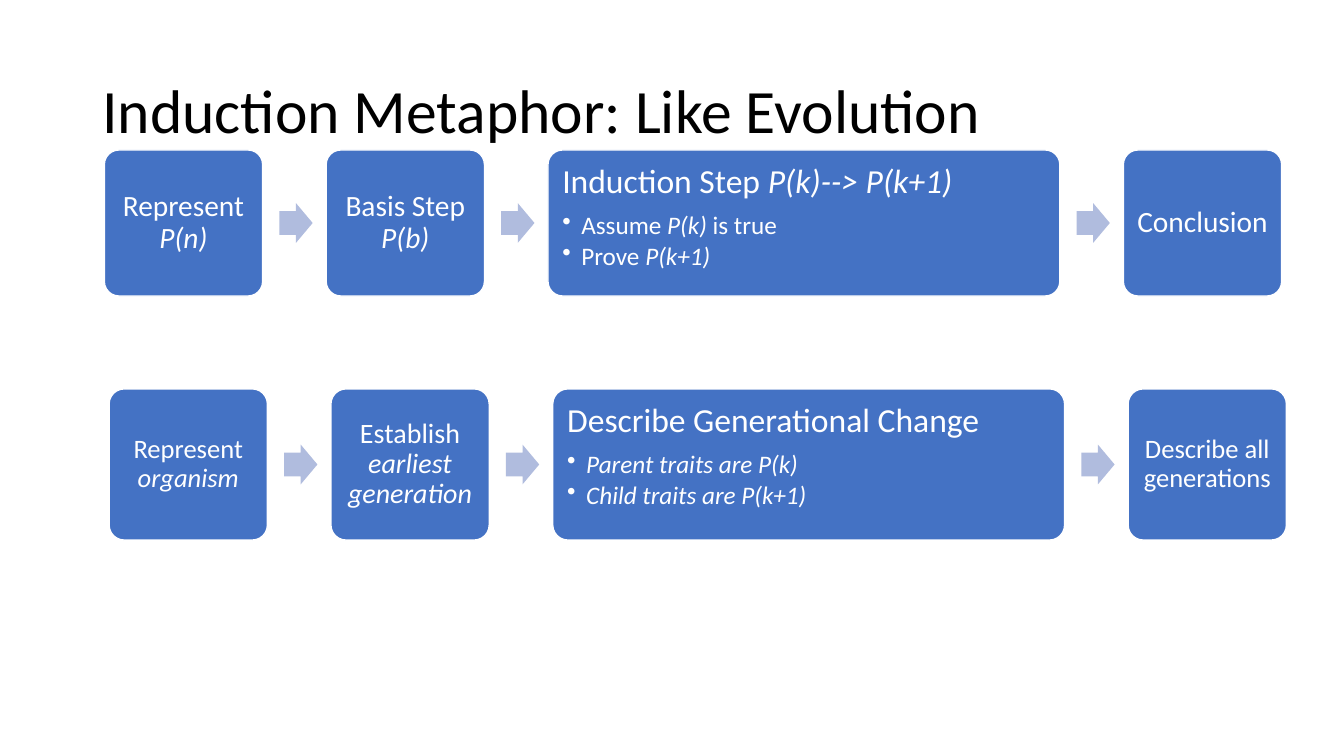
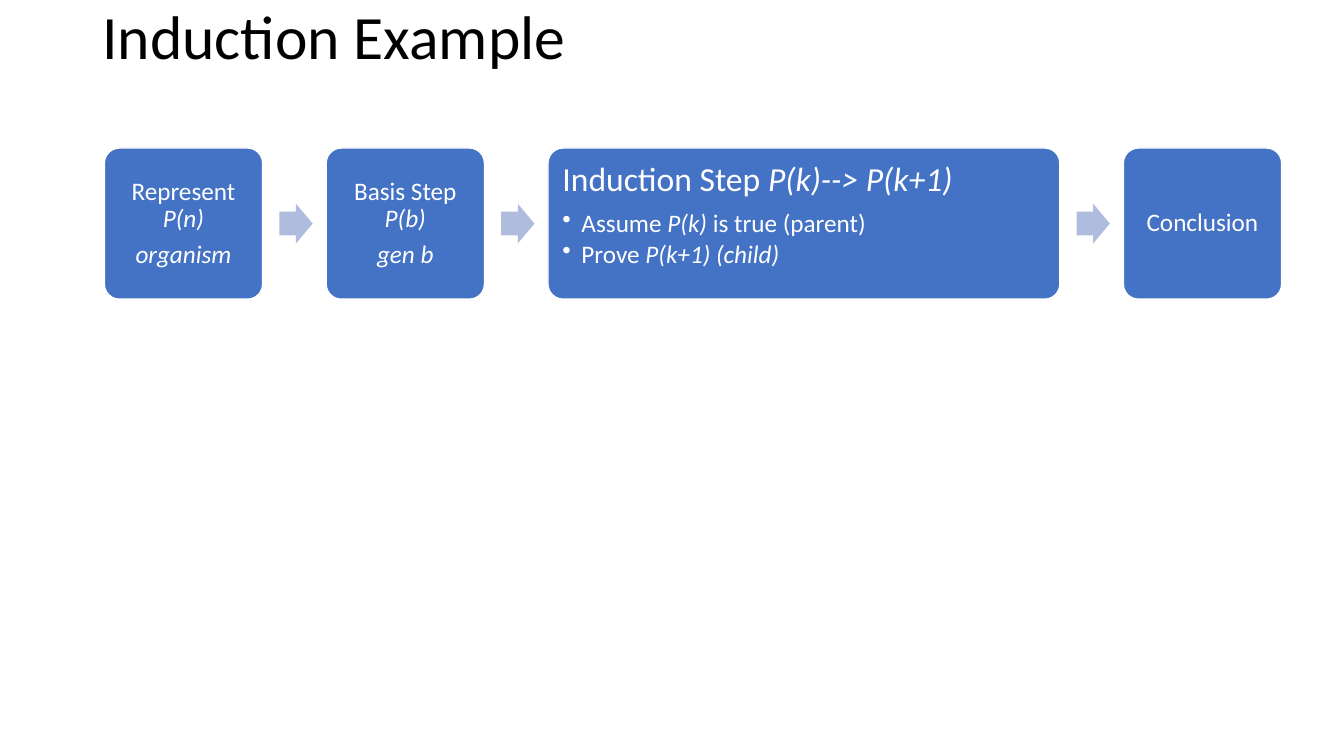
import lxml.etree
import pptx
import pptx.dml.color
import pptx.enum.shapes
import pptx.enum.text
import pptx.oxml.ns
import pptx.util

Cm = pptx.util.Cm
Pt = pptx.util.Pt
RGBColor = pptx.dml.color.RGBColor
Shape = pptx.enum.shapes.MSO_SHAPE
Anchor = pptx.enum.text.MSO_ANCHOR
Align = pptx.enum.text.PP_ALIGN

BLACK = RGBColor(0x00, 0x00, 0x00)
WHITE = RGBColor(0xFF, 0xFF, 0xFF)
STEP_BLUE = RGBColor(0x44, 0x72, 0xC4)
ARROW_BLUE = RGBColor(0xB0, 0xBC, 0xDE)

FONT = "Calibri"
TITLE_SIZE, HEADING_SIZE, BULLET_SIZE = 44, 24, 18

# Lengths in centimetres
STEP_WIDTH, DETAIL_WIDTH, STEP_GAP = 3.99, 12.9, 1.6
ARROW_OFFSET, ARROW_WIDTH, ARROW_HEIGHT = 0.42, 0.84, 1
BULLET_INDENT = Cm(0.48)


class Deck:
    """Holds the style and the slide being filled."""

    def __init__(self):
        self.presentation = pptx.Presentation()
        self.presentation.slide_width = Cm(33.87)
        self.presentation.slide_height = Cm(19.05)
        self.slide = None

    def new_slide(self, title, title_top):
        self.slide = self.presentation.slides.add_slide(self.presentation.slide_layouts[6])
        box = self.slide.shapes.add_textbox(Cm(2.33), Cm(title_top), Cm(29.21), Cm(2))
        frame = box.text_frame
        frame.word_wrap = True
        frame.vertical_anchor = Anchor.MIDDLE
        self.add_text(frame.paragraphs[0], title, TITLE_SIZE, BLACK)

    def add_text(self, paragraph, text, size, color=WHITE, space_after=0):
        """Add text whose parts between asterisks are italic."""
        for index, part in enumerate(text.split("*")):
            if part:
                run = paragraph.add_run()
                run.text = part
                run.font.name = FONT
                run.font.size = Pt(size)
                run.font.color.rgb = color
                run.font.italic = index % 2 == 1
        paragraph.line_spacing = 0.9
        paragraph.space_after = Pt(size * space_after)

    def shape(self, kind, left, top, width, height, fill, adjustments):
        shape = self.slide.shapes.add_shape(kind, Cm(left), Cm(top), Cm(width), Cm(height))
        for index, value in enumerate(adjustments):
            shape.adjustments[index] = value
        shape.shadow.inherit = False
        shape.fill.solid()
        shape.fill.fore_color.rgb = fill
        shape.line.fill.background()
        return shape

    def box(self, left, top, width, height, size, anchor):
        """Draw a step box and return its text frame, with insets that follow the text size."""
        box = self.shape(Shape.ROUNDED_RECTANGLE, left, top, width, height, STEP_BLUE, [0.1])
        box.line.color.rgb = WHITE
        box.line.width = Pt(1)
        frame = box.text_frame
        frame.word_wrap = True
        frame.vertical_anchor = anchor
        inset = Pt(size * 0.3)
        frame.margin_left = frame.margin_right = inset
        frame.margin_top = frame.margin_bottom = inset
        return frame

    def step(self, left, top, height, size, lines):
        frame = self.box(left, top, STEP_WIDTH, height, size, Anchor.MIDDLE)
        for index, line in enumerate(lines):
            paragraph = frame.add_paragraph() if index else frame.paragraphs[0]
            paragraph.alignment = Align.CENTER
            self.add_text(paragraph, line, size, space_after=0.35)

    def detail(self, left, top, height, heading, bullets):
        frame = self.box(left, top, DETAIL_WIDTH, height, HEADING_SIZE, Anchor.TOP)
        frame.paragraphs[0].alignment = Align.LEFT
        self.add_text(frame.paragraphs[0], heading, HEADING_SIZE, space_after=0.35)
        for bullet in bullets:
            paragraph = frame.add_paragraph()
            paragraph.alignment = Align.LEFT
            paragraph.level = 1
            self.add_text(paragraph, bullet, BULLET_SIZE, space_after=0.15)
            properties = paragraph._p.get_or_add_pPr()
            properties.set("marL", str(BULLET_INDENT))
            properties.set("indent", str(-BULLET_INDENT))
            mark = lxml.etree.SubElement(properties, pptx.oxml.ns.qn("a:buChar"))
            mark.set("char", "•")

    def process(self, left, top, height, first, second, detail, last):
        """Lay out a row of steps joined by arrows; a step is a size and its lines."""
        arrow_top = top + (height - ARROW_HEIGHT) / 2
        for content in (first, second, detail, last):
            if content is not first:
                self.shape(Shape.RIGHT_ARROW, left - STEP_GAP + ARROW_OFFSET, arrow_top,
                           ARROW_WIDTH, ARROW_HEIGHT, ARROW_BLUE, [0.6, 0.5])
            if content is detail:
                self.detail(left, top, height, *content)
                left += DETAIL_WIDTH + STEP_GAP
            else:
                self.step(left, top, height, *content)
                left += STEP_WIDTH + STEP_GAP


def main():
    deck = Deck()
    induction_step = "Induction Step *P(k)--> P(k+1)*"

    deck.new_slide("Induction Metaphor: Like Evolution", 1.86)
    deck.process(
        2.63, 3.78, 3.68,
        (21, ["Represent *P(n)*"]),
        (21, ["Basis Step *P(b)*"]),
        (induction_step, ["Assume *P(k)* is true", "Prove *P(k+1)*"]),
        (21, ["Conclusion"]),
    )
    deck.process(
        2.75, 9.8, 3.81,
        (19, ["Represent *organism*"]),
        (20, ["Establish *earliest generation*"]),
        ("Describe Generational Change",
         ["*Parent traits are P(k)*", "*Child traits are P(k+1)*"]),
        (19, ["Describe all generations"]),
    )

    deck.new_slide("Induction Example", 0)
    deck.process(
        2.63, 3.73, 3.81,
        (18, ["Represent *P(n)*", "*organism*"]),
        (18, ["Basis Step *P(b)*", "*gen b*"]),
        (induction_step, ["Assume *P(k)* is true (parent)", "Prove *P(k+1) (child)*"]),
        (18, ["Conclusion"]),
    )

    deck.presentation.save("out.pptx")


if __name__ == "__main__":
    main()
